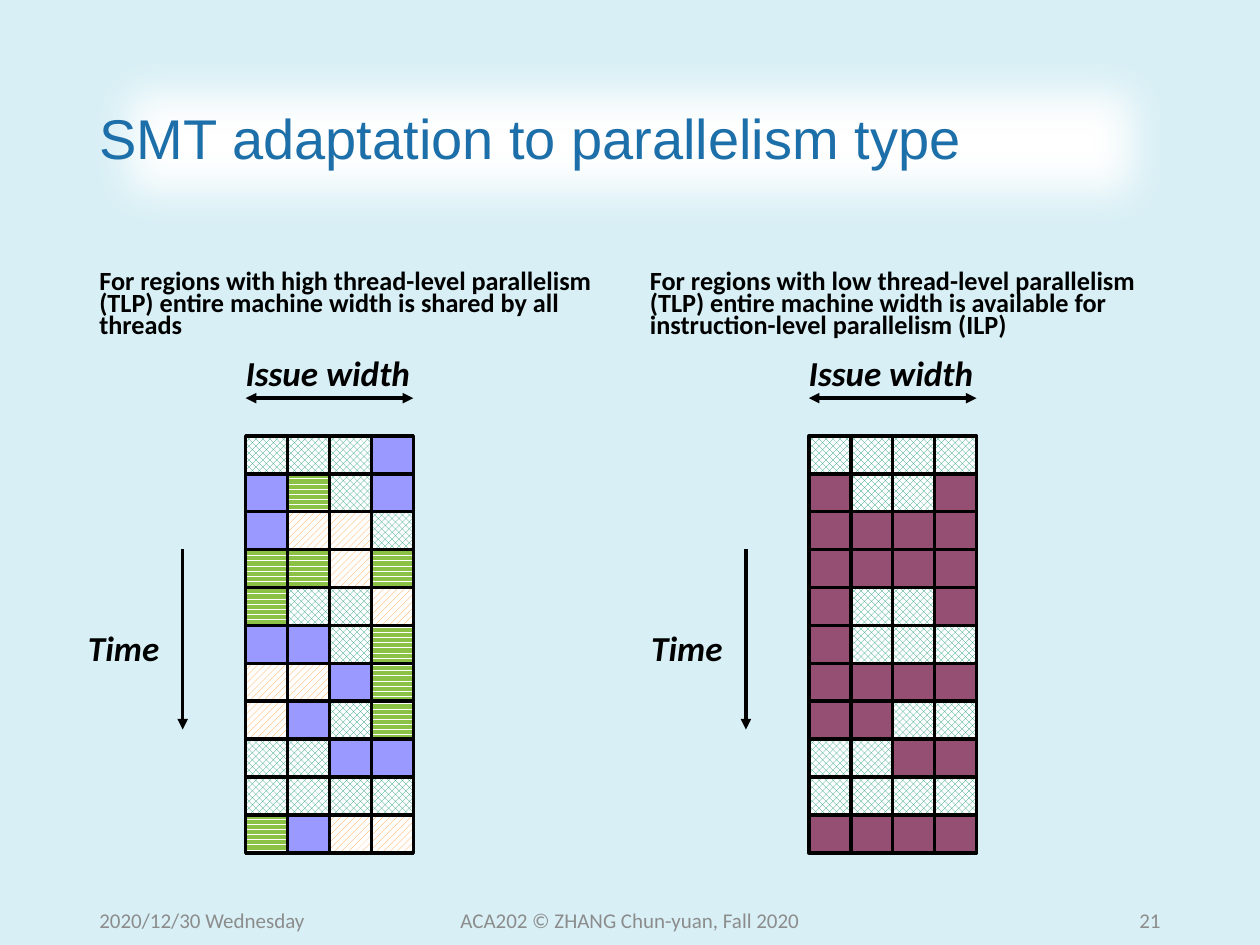
from dataclasses import dataclass

from lxml.etree import SubElement
from pptx import Presentation
from pptx.dml.color import RGBColor
from pptx.enum.dml import MSO_PATTERN as Pattern
from pptx.enum.shapes import MSO_CONNECTOR as Connector, MSO_SHAPE as Shape
from pptx.enum.text import MSO_ANCHOR as Anchor, MSO_AUTO_SIZE as AutoSize, PP_ALIGN as Align
from pptx.oxml.ns import qn
from pptx.util import Inches, Pt


@dataclass(frozen=True)
class Theme:
    background: str = "D7EFF5"
    white: str = "FFFFFF"
    ink: str = "000000"
    title: str = "1D6FA9"
    footer: str = "8C8C8C"
    title_font: str = "Arial"
    body_font: str = "Calibri"
    title_size: int = 32
    label_size: int = 20
    summary_size: int = 15
    footer_size: int = 12
    line_width: int = 2


# Thread letter -> (colour, pattern or None for a solid fill)
THREADS = {
    "D": ("1D9A78", Pattern.SOLID_DIAMOND),
    "H": ("8BC145", Pattern.DARK_HORIZONTAL),
    "U": ("FF9933", Pattern.WIDE_UPWARD_DIAGONAL),
    "B": ("9999FF", None),
    "P": ("954F72", None),
}

# One word per cycle, one letter per issue slot
HIGH_TLP = "DDDB BHDB BUUD HHUH HDDU BBDH UUBH UBDH DDBB DDDD HBUU".split()
LOW_TLP = "DDDD PDDP PPPP PPPP PDDP PDDD PPPP PPDD DDPP DDDD PPPP".split()

GRID_TOP = 3.46
GRID_WIDTH, GRID_HEIGHT = 1.33, 3.31


class SlideBuilder:
    def __init__(self, prs, theme):
        self.theme = theme
        self.slide = prs.slides.add_slide(prs.slide_layouts[5])
        background = self.slide.background.fill
        background.solid()
        background.fore_color.rgb = RGBColor.from_string(theme.background)

    def style_font(self, paragraph, name, size, color, bold=False, italic=False):
        font = paragraph.font
        font.name, font.size = name, Pt(size)
        font.bold, font.italic = bold, italic
        font.color.rgb = RGBColor.from_string(color)

    def title(self, text, left, top, width, height):
        """Fill the title placeholder and give its white panel soft edges."""
        theme, title = self.theme, self.slide.shapes.title
        title.left, title.top = Inches(left), Inches(top)
        title.width, title.height = Inches(width), Inches(height)
        title.fill.solid()
        title.fill.fore_color.rgb = RGBColor.from_string(theme.white)
        title.shadow.inherit = False
        effects = title._element.spPr.find(qn("a:effectLst"))
        SubElement(effects, qn("a:softEdge"), rad=str(Pt(25)))
        frame = title.text_frame
        frame.text = text
        frame.auto_size = AutoSize.NONE
        frame.vertical_anchor = Anchor.MIDDLE
        paragraph = frame.paragraphs[0]
        paragraph.alignment = Align.LEFT
        paragraph.line_spacing = 0.9
        self.style_font(paragraph, theme.title_font, theme.title_size, theme.title)

    def text(self, parent, text, left, top, width, height, size, color,
             anchor=Anchor.TOP, align=Align.LEFT, wrap=True, spacing=None, **emphasis):
        box = parent.add_textbox(Inches(left), Inches(top), Inches(width), Inches(height))
        frame = box.text_frame
        frame.text = text
        frame.word_wrap = wrap
        frame.vertical_anchor = anchor
        frame.auto_size = AutoSize.NONE if wrap else AutoSize.SHAPE_TO_FIT_TEXT
        paragraph = frame.paragraphs[0]
        paragraph.alignment = align
        paragraph.line_spacing = spacing
        self.style_font(paragraph, self.theme.body_font, size, color, **emphasis)

    def summary(self, text, left, width):
        self.text(self.slide.shapes, text, left, 1.84, width, 0.9, self.theme.summary_size,
                  self.theme.ink, anchor=Anchor.BOTTOM, spacing=0.7, bold=True)

    def footer(self, text, left, width, align):
        self.text(self.slide.shapes, text, left, 7.1, width, 0.4, self.theme.footer_size,
                  self.theme.footer, anchor=Anchor.MIDDLE, align=align)

    def label(self, parent, text, left, top, width):
        self.text(parent, text, left, top, width, 0.4, self.theme.label_size,
                  self.theme.ink, wrap=False, bold=True, italic=True)

    def outline(self, line):
        line.color.rgb = RGBColor.from_string(self.theme.ink)
        line.width = Pt(self.theme.line_width)

    def slot(self, parent, thread, left, top, width, height):
        """Draw one issue slot in the fill of the thread that uses it."""
        cell = parent.add_shape(Shape.RECTANGLE, Inches(left), Inches(top),
                                Inches(width), Inches(height))
        cell.shadow.inherit = False
        color, pattern = THREADS[thread]
        if pattern is None:
            cell.fill.solid()
        else:
            cell.fill.patterned()
            cell.fill.pattern = pattern
            cell.fill.back_color.rgb = RGBColor.from_string(self.theme.white)
        cell.fill.fore_color.rgb = RGBColor.from_string(color)
        self.outline(cell.line)

    def arrow(self, parent, start, end, ends=("tailEnd",)):
        x1, y1, x2, y2 = (Inches(value) for value in (*start, *end))
        connector = parent.add_connector(Connector.STRAIGHT, x1, y1, x2, y2)
        self.outline(connector.line)
        properties = connector._element.spPr
        for end_tag in ends:
            SubElement(properties.find(qn("a:ln")), qn(f"a:{end_tag}"), type="triangle")
        SubElement(properties, qn("a:effectLst"))

    def issue_diagram(self, cycles, left):
        """Draw cycles (rows) by issue slots (columns), with both axes labelled."""
        parent = self.slide.shapes.add_group_shape().shapes
        slot_width = GRID_WIDTH / len(cycles[0])
        slot_height = GRID_HEIGHT / len(cycles)
        for row, cycle in enumerate(cycles):
            for column, thread in enumerate(cycle):
                self.slot(parent, thread, left + column * slot_width,
                          GRID_TOP + row * slot_height, slot_width, slot_height)
        self.arrow(parent, (left, 3.16), (left + GRID_WIDTH, 3.16), ("headEnd", "tailEnd"))
        self.label(parent, "Issue width", left - 0.1, 2.74, 1.59)
        self.arrow(parent, (left - 0.5, 4.36), (left - 0.5, 5.79))
        self.label(parent, "Time", left - 1.35, 4.92, 0.84)


def main():
    prs = Presentation()
    prs.slide_width, prs.slide_height = Inches(10), Inches(7.5)
    builder = SlideBuilder(prs, Theme())
    builder.title("SMT adaptation to parallelism type", 0.69, 0.4, 8.62, 1.45)
    builder.summary("For regions with high thread-level parallelism (TLP) entire machine "
                    "width is shared by all threads", 0.69, 4.23)
    builder.summary("For regions with low thread-level parallelism (TLP) entire machine "
                    "width is available for instruction-level parallelism (ILP)", 5.06, 4.25)
    builder.issue_diagram(HIGH_TLP, 1.95)
    builder.issue_diagram(LOW_TLP, 6.42)
    builder.footer("2020/12/30 Wednesday", 0.69, 2.25, Align.LEFT)
    builder.footer("ACA202 © ZHANG Chun-yuan, Fall 2020", 3.31, 3.38, Align.CENTER)
    builder.footer("21", 7.06, 2.25, Align.RIGHT)
    prs.save("out.pptx")


if __name__ == "__main__":
    main()
